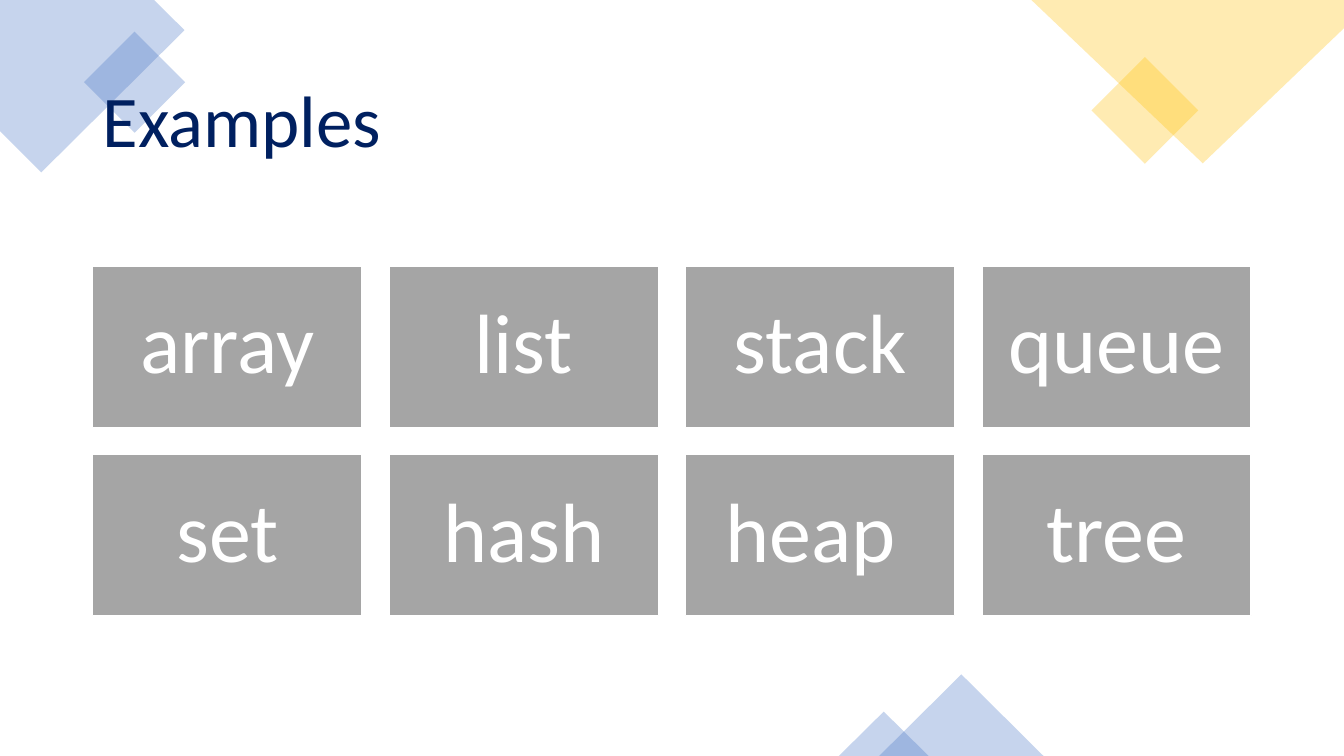
from lxml import etree
from pptx import Presentation
from pptx import util as u
from pptx.dml.color import RGBColor
from pptx.enum import shapes, text
from pptx.oxml.ns import qn

BLUE = RGBColor(0x44, 0x72, 0xC4)
GOLD = RGBColor(0xFF, 0xC0, 0x00)
NAVY = RGBColor(0x00, 0x20, 0x60)
GREY = RGBColor(0xA5, 0xA5, 0xA5)
WHITE = RGBColor(0xFF, 0xFF, 0xFF)
FONT = "Calibri"

STRUCTURES = [
    ["array", "list", "stack", "queue"],
    ["set", "hash", "heap ", "tree"],
]
TILE_W, TILE_H, GAP = 2.67, 1.6, 0.27
GRID_LEFT, GRID_TOP = 0.92, 2.64


def tint(ornament, color):
    """Give an ornament a 30 % opaque fill without outline or shadow."""
    ornament.shadow.inherit = False
    ornament.line.fill.background()
    ornament.fill.solid()
    ornament.fill.fore_color.rgb = color
    swatch = ornament.fill._xPr.find(qn("a:solidFill"))[0]
    etree.SubElement(swatch, qn("a:alpha"), val="30000")


def add_corner(slide, points, color):
    start, *rest = [(u.Inches(x), u.Inches(y)) for x, y in points]
    outline = slide.shapes.build_freeform(*start)
    outline.add_line_segments(rest, close=True)
    tint(outline.convert_to_shape(), color)


def add_ornament(slide, kind, box, color, rotation=0):
    ornament = slide.shapes.add_shape(kind, *map(u.Inches, box))
    ornament.rotation = rotation
    tint(ornament, color)


def style_text(paragraph, size, color, alignment):
    paragraph.alignment = alignment
    paragraph.line_spacing = 0.9
    paragraph.font.name = FONT
    paragraph.font.size = u.Pt(size)
    paragraph.font.color.rgb = color


def add_title(slide, wording):
    title = slide.shapes.title
    title.left, title.top = u.Inches(0.92), u.Inches(0.61)
    title.width, title.height = u.Inches(11.5), u.Inches(1.24)
    frame = title.text_frame
    frame.text = wording
    frame.vertical_anchor = text.MSO_ANCHOR.MIDDLE
    frame.auto_size = text.MSO_AUTO_SIZE.NONE
    style_text(frame.paragraphs[0], 52, NAVY, text.PP_ALIGN.LEFT)
    # Bring the title in front of the ornaments
    title._element.getparent().append(title._element)


def add_tile(slide, left, top, wording):
    tile = slide.shapes.add_shape(
        shapes.MSO_SHAPE.RECTANGLE, u.Inches(left), u.Inches(top),
        u.Inches(TILE_W), u.Inches(TILE_H))
    tile.shadow.inherit = False
    tile.fill.solid()
    tile.fill.fore_color.rgb = GREY
    tile.line.color.rgb = WHITE
    tile.line.width = u.Pt(1)
    frame = tile.text_frame
    frame.word_wrap = True
    frame.vertical_anchor = text.MSO_ANCHOR.MIDDLE
    frame.margin_left = frame.margin_right = u.Inches(0.25)
    frame.margin_top = frame.margin_bottom = u.Inches(0.25)
    frame.text = wording
    style_text(frame.paragraphs[0], 60, WHITE, text.PP_ALIGN.CENTER)


def main():
    prs = Presentation()
    prs.slide_width, prs.slide_height = u.Inches(13.33), u.Inches(7.5)
    slide = prs.slides.add_slide(prs.slide_layouts.get_by_name("Title Only"))

    # Corner ornaments
    square = shapes.MSO_SHAPE.RECTANGLE
    triangle = shapes.MSO_SHAPE.ISOSCELES_TRIANGLE
    add_corner(slide, [(1.53, 0), (0, 0), (0, 1.3), (0.41, 1.71), (1.83, 0.3)], BLUE)
    add_ornament(slide, square, (0.98, 0.46, 0.71, 0.71), BLUE, 315)
    add_ornament(slide, square, (10.98, 0.72, 0.75, 0.75), GOLD, 315)
    add_corner(slide, [(13.33, 0), (10.23, 0), (11.93, 1.62), (13.33, 0.28)], GOLD)

    # Bottom ornaments
    add_ornament(slide, triangle, (8.72, 6.69, 1.63, 0.81), BLUE)
    add_ornament(slide, triangle, (8.32, 7.06, 0.89, 0.44), BLUE)

    add_title(slide, "Examples")

    # Grid of data structures
    for row, names in enumerate(STRUCTURES):
        for column, name in enumerate(names):
            add_tile(slide, GRID_LEFT + column * (TILE_W + GAP),
                     GRID_TOP + row * (TILE_H + GAP), name)

    prs.save("out.pptx")


if __name__ == "__main__":
    main()
